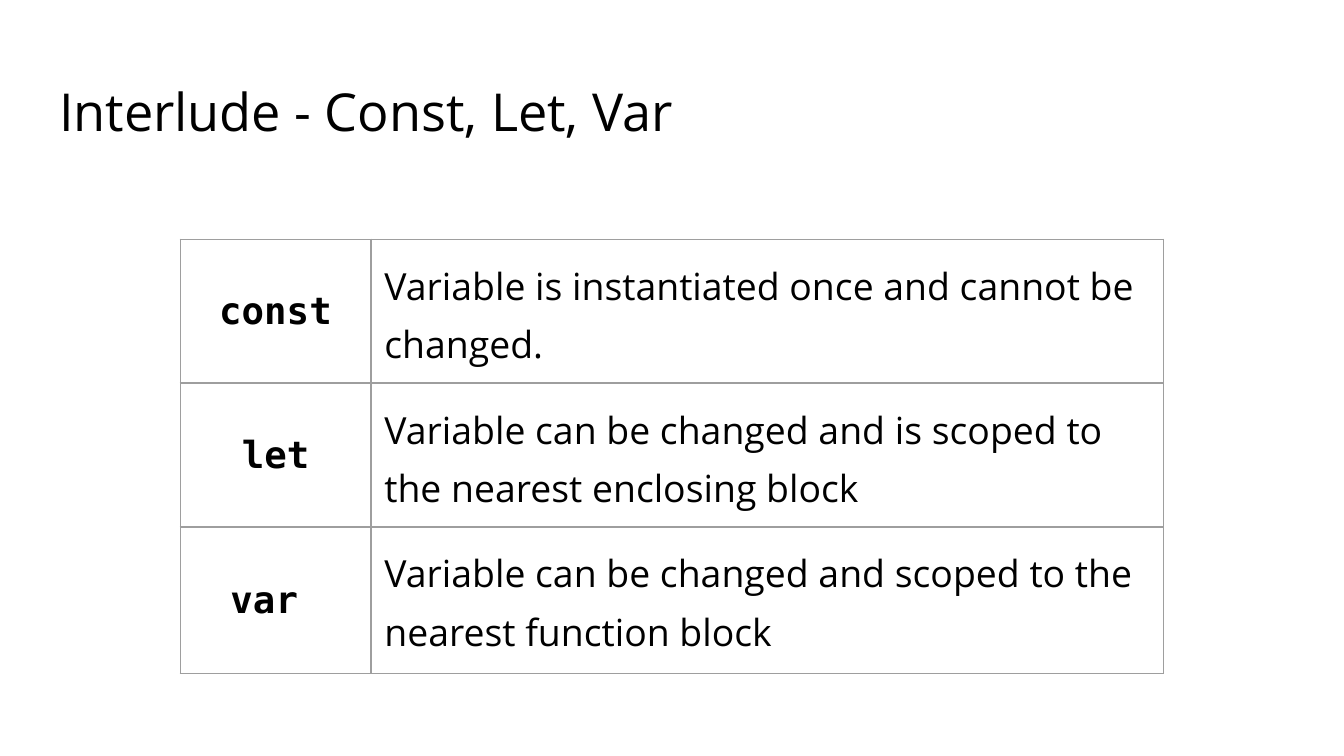
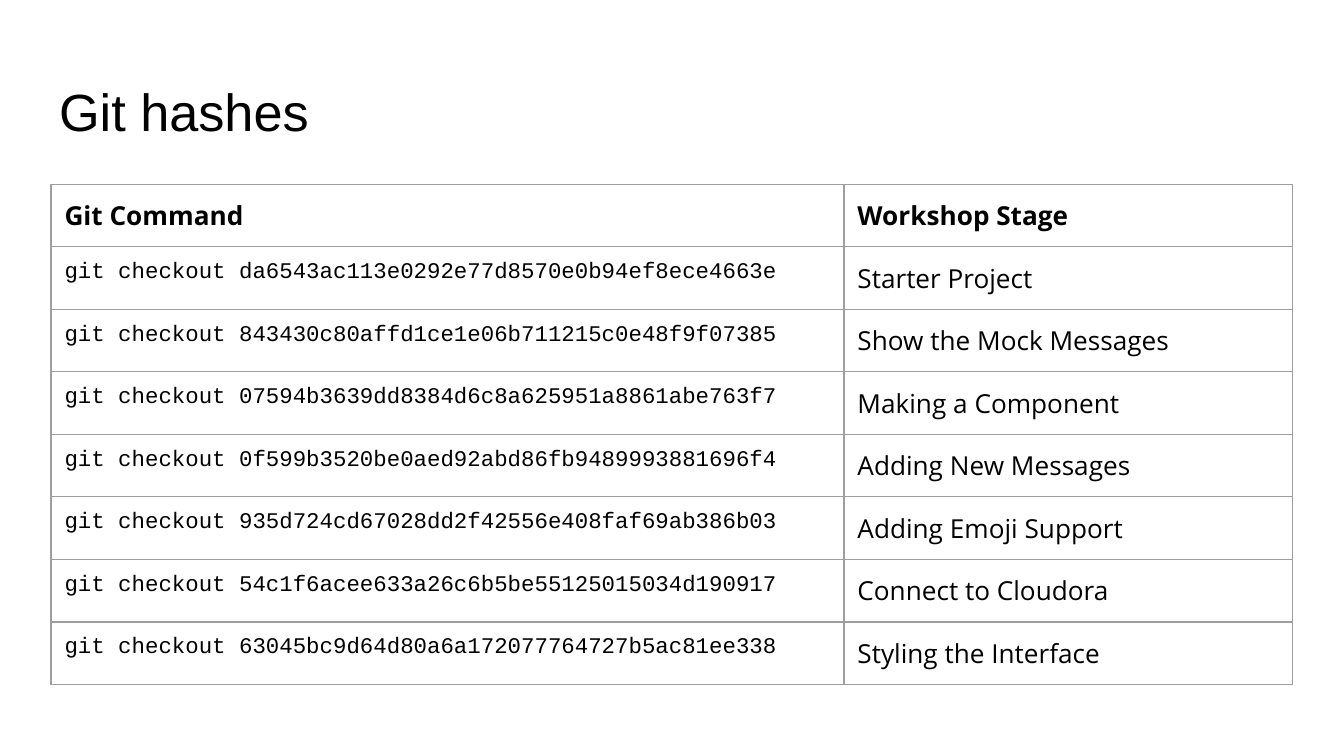
"""Build two slides, each with a title and a bordered table."""
from dataclasses import dataclass

import pptx
import pptx.dml.color
import pptx.enum.text
import pptx.oxml
import pptx.oxml.ns
import pptx.util

Inches = pptx.util.Inches
Pt = pptx.util.Pt
ANCHOR = pptx.enum.text.MSO_ANCHOR
ALIGN = pptx.enum.text.PP_ALIGN

COLORS = {"text": "000000", "border": "9E9E9E", "background": "FFFFFF"}
INSET = Inches(0.1)
BORDER = Pt(0.75)
SLIDE_WIDTH = Inches(10)
SLIDE_HEIGHT = SLIDE_WIDTH * 9 // 16
TITLE_BOX = (Inches(0.34), Inches(0.49), Inches(9.32), Inches(0.63))


@dataclass(frozen=True)
class TextStyle:
    font: str
    size: float
    bold: bool = False
    align: ALIGN = ALIGN.LEFT
    anchor: ANCHOR = ANCHOR.TOP
    spacing: float = 1.0


@dataclass(frozen=True)
class TableSpec:
    left: float
    top: float
    col_widths: tuple[float, ...]
    row_heights: tuple[float, ...]
    rows: tuple[tuple[str, ...], ...]
    col_styles: tuple[TextStyle, ...]
    header_style: TextStyle | None = None


@dataclass(frozen=True)
class SlideSpec:
    title: str
    title_style: TextStyle
    table: TableSpec


KEYWORD = TextStyle("DejaVu Sans Mono", 20, True, ALIGN.CENTER, ANCHOR.MIDDLE)
MEANING = TextStyle("Open Sans", 20, spacing=1.15)
HEADER = TextStyle("Open Sans", 14, True)
COMMAND = TextStyle("Courier New", 12)
STAGE = TextStyle("Open Sans", 14)

KEYWORDS = (
    ("const", "Variable is instantiated once and cannot be changed."),
    ("let", "Variable can be changed and is scoped to the nearest enclosing block"),
    ("var ", "Variable can be changed and scoped to the nearest function block"),
)
STAGES = (
    ("da6543ac113e0292e77d8570e0b94ef8ece4663e", "Starter Project"),
    ("843430c80affd1ce1e06b711215c0e48f9f07385", "Show the Mock Messages"),
    ("07594b3639dd8384d6c8a625951a8861abe763f7", "Making a Component"),
    ("0f599b3520be0aed92abd86fb9489993881696f4", "Adding New Messages"),
    ("935d724cd67028dd2f42556e408faf69ab386b03", "Adding Emoji Support"),
    ("54c1f6acee633a26c6b5be55125015034d190917", "Connect to Cloudora"),
    ("63045bc9d64d80a6a172077764727b5ac81ee338", "Styling the Interface"),
)
GIT_ROWS = (
    ("Git Command", "Workshop Stage"),
    *((f"git checkout {commit}", stage) for commit, stage in STAGES),
)

SLIDES = (
    SlideSpec(
        "Interlude - Const, Let, Var",
        TextStyle("Open Sans", 28),
        TableSpec(1.34, 1.78, (1.42, 5.9), (0.72, 0.78, 1.09), KEYWORDS, (KEYWORD, MEANING)),
    ),
    SlideSpec(
        "Git hashes",
        TextStyle("Arial", 28),
        TableSpec(0.38, 1.37, (5.9, 3.34), (0.43,) * len(GIT_ROWS), GIT_ROWS, (COMMAND, STAGE), HEADER),
    ),
)


def rgb(name: str) -> pptx.dml.color.RGBColor:
    return pptx.dml.color.RGBColor.from_string(COLORS[name])


def write_text(tf, text: str, style: TextStyle) -> None:
    tf.text = text
    p = tf.paragraphs[0]
    p.alignment = style.align
    p.line_spacing = style.spacing
    font = p.runs[0].font
    font.name = style.font
    font.size = Pt(style.size)
    font.bold = style.bold
    font.color.rgb = rgb("text")


def set_insets(box) -> None:
    box.margin_left = box.margin_right = INSET
    box.margin_top = box.margin_bottom = INSET


def add_borders(cell) -> None:
    tcPr = cell._tc.get_or_add_tcPr()
    for side in ("lnL", "lnR", "lnT", "lnB"):
        tcPr.append(pptx.oxml.parse_xml(
            f'<a:{side} {pptx.oxml.ns.nsdecls("a")} w="{BORDER}"><a:solidFill>'
            f'<a:srgbClr val="{COLORS["border"]}"/></a:solidFill></a:{side}>'
        ))


def add_title(slide, text: str, style: TextStyle) -> None:
    sp = slide.shapes.title
    sp.left, sp.top, sp.width, sp.height = TITLE_BOX
    tf = sp.text_frame
    tf.word_wrap = True
    tf.auto_size = pptx.enum.text.MSO_AUTO_SIZE.NONE
    tf.vertical_anchor = style.anchor
    set_insets(tf)
    write_text(tf, text, style)


def add_table(slide, spec: TableSpec) -> None:
    table = slide.shapes.add_table(
        len(spec.rows), len(spec.col_widths),
        Inches(spec.left), Inches(spec.top),
        Inches(sum(spec.col_widths)), Inches(sum(spec.row_heights)),
    ).table
    table.first_row = spec.header_style is not None
    table.horz_banding = False
    for column, width in zip(table.columns, spec.col_widths):
        column.width = Inches(width)
    for i, (row, height) in enumerate(zip(table.rows, spec.row_heights)):
        row.height = Inches(height)
        for cell, text, col_style in zip(row.cells, spec.rows[i], spec.col_styles):
            style = spec.header_style if i == 0 and spec.header_style else col_style
            set_insets(cell)
            cell.vertical_anchor = style.anchor
            add_borders(cell)
            cell.fill.background()
            write_text(cell.text_frame, text, style)


def main() -> None:
    prs = pptx.Presentation()
    prs.slide_width, prs.slide_height = SLIDE_WIDTH, SLIDE_HEIGHT
    title_only = prs.slide_layouts.get_by_name("Title Only")
    for spec in SLIDES:
        slide = prs.slides.add_slide(title_only)
        slide.background.fill.solid()
        slide.background.fill.fore_color.rgb = rgb("background")
        add_title(slide, spec.title, spec.title_style)
        add_table(slide, spec.table)
    prs.save("out.pptx")


if __name__ == "__main__":
    main()
